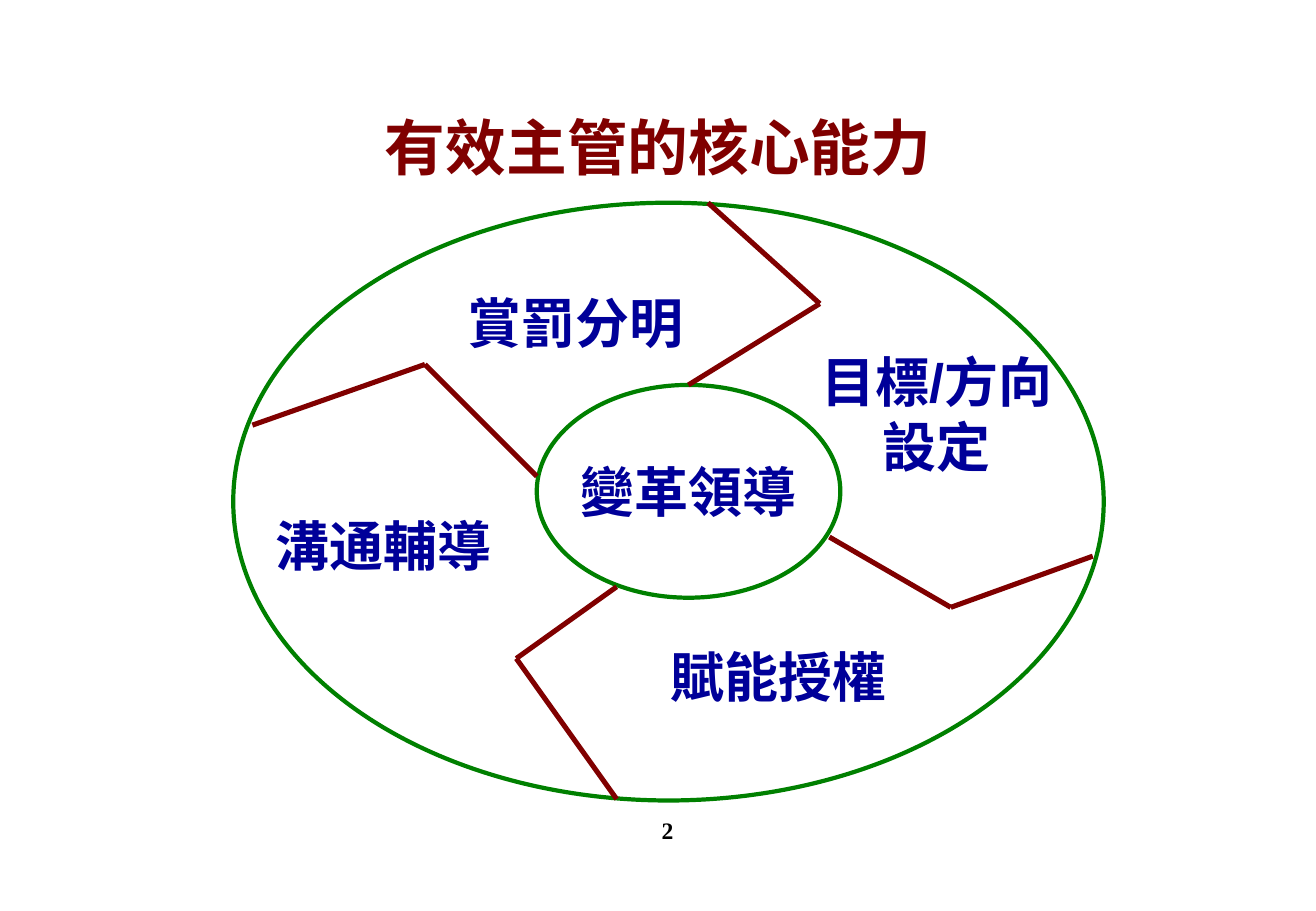
import pptx
import pptx.util
import pptx.dml.color
import pptx.enum.shapes
import pptx.enum.text
import pptx.oxml.ns
import lxml.etree
import itertools

Cm = pptx.util.Cm
Pt = pptx.util.Pt
MSO_ANCHOR = pptx.enum.text.MSO_ANCHOR
COLORS = {"white": "FFFFFF", "maroon": "800000", "green": "008000", "navy": "000099", "black": "000000"}


def rgb(name):
    return pptx.dml.color.RGBColor.from_string(COLORS[name])


def write(sp, lines, size, color, font="Arial", wrap=False, anchor=MSO_ANCHOR.TOP):
    tf = sp.text_frame
    tf.word_wrap = wrap
    tf.vertical_anchor = anchor
    for i, line in enumerate(lines):
        p = tf.add_paragraph() if i else tf.paragraphs[0]
        p.alignment = pptx.enum.text.PP_ALIGN.CENTER
        r = p.add_run()
        r.text = line
        r.font.size = Pt(size)
        r.font.bold = True
        r.font.name = font
        r.font.color.rgb = rgb(color)


prs = pptx.Presentation()
prs.slide_width = Cm(27.53)
prs.slide_height = Cm(19.05)
s = prs.slides.add_slide(prs.slide_layouts[6])

title = s.shapes.add_textbox(Cm(1.07), Cm(1.47), Cm(25.4), Cm(3.18))
write(title, ["有效主管的核心能力"], 36, "maroon", wrap=True, anchor=MSO_ANCHOR.MIDDLE)

rings = [
    (4.88, 4.24, 18.21, 12.5, []),
    (11.23, 8.05, 6.35, 4.45, ["變革領導"]),
]
for x, y, w, h, lines in rings:
    sp = s.shapes.add_shape(pptx.enum.shapes.MSO_SHAPE.OVAL, Cm(x), Cm(y), Cm(w), Cm(h))
    sp.shadow.inherit = False
    sp.fill.solid()
    sp.fill.fore_color.rgb = rgb("white")
    sp.line.color.rgb = rgb("green")
    sp.line.width = Pt(2.5)
    write(sp, lines, 32, "navy", anchor=MSO_ANCHOR.MIDDLE)

dividers = [
    [(17.35, 11.23), (19.89, 12.7), (22.86, 11.63)],
    [(12.9, 12.27), (10.8, 13.77), (12.9, 16.71)],
    [(5.28, 8.89), (8.89, 7.62), (11.23, 9.96)],
    [(14.81, 4.24), (17.15, 6.35), (14.4, 8.05)],
]
for points in dividers:
    for (x1, y1), (x2, y2) in itertools.pairwise(points):
        line = s.shapes.add_connector(
            pptx.enum.shapes.MSO_CONNECTOR.STRAIGHT, Cm(x1), Cm(y1), Cm(x2), Cm(y2))
        line.line.color.rgb = rgb("maroon")
        line.line.width = Pt(3)
        lxml.etree.SubElement(line._element.spPr, pptx.oxml.ns.qn("a:effectLst"))

labels = [
    (16.66, 7.16, 5.87, 2.97, ["目標/方向", "設定"]),
    (13.77, 13.34, 5.03, 1.63, ["賦能授權"]),
    (5.51, 10.59, 5.03, 1.63, ["溝通輔導"]),
    (9.53, 5.92, 5.03, 1.63, ["賞罰分明"]),
]
for x, y, w, h, lines in labels:
    sp = s.shapes.add_textbox(Cm(x), Cm(y), Cm(w), Cm(h))
    write(sp, lines, 32, "navy")
    sp.text_frame.auto_size = pptx.enum.text.MSO_AUTO_SIZE.SHAPE_TO_FIT_TEXT

number = s.shapes.add_textbox(Cm(10.8), Cm(16.94), Cm(5.72), Cm(1.27))
write(number, ["2"], 14, "black", font="Times New Roman", wrap=True)
number.text_frame.paragraphs[0]._p.get_or_add_pPr().set("marL", str(Cm(0.61)))

prs.save("out.pptx")
